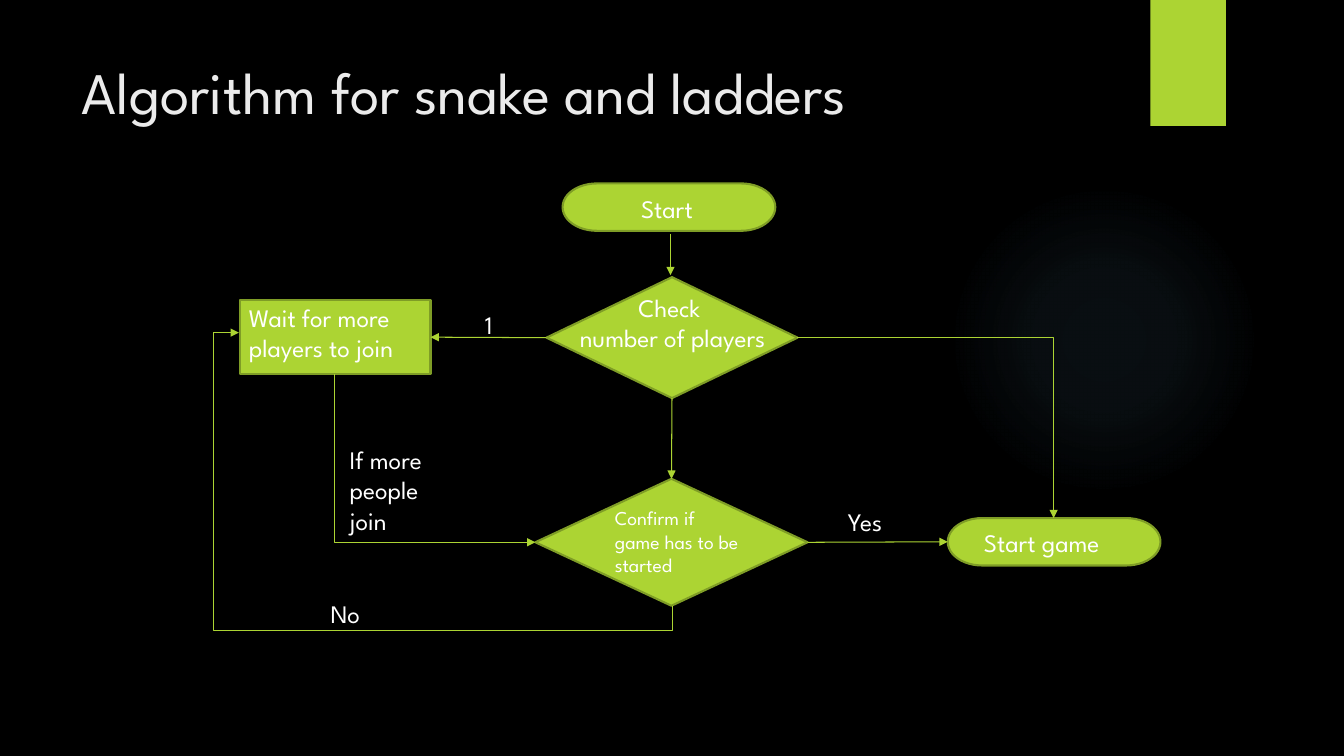
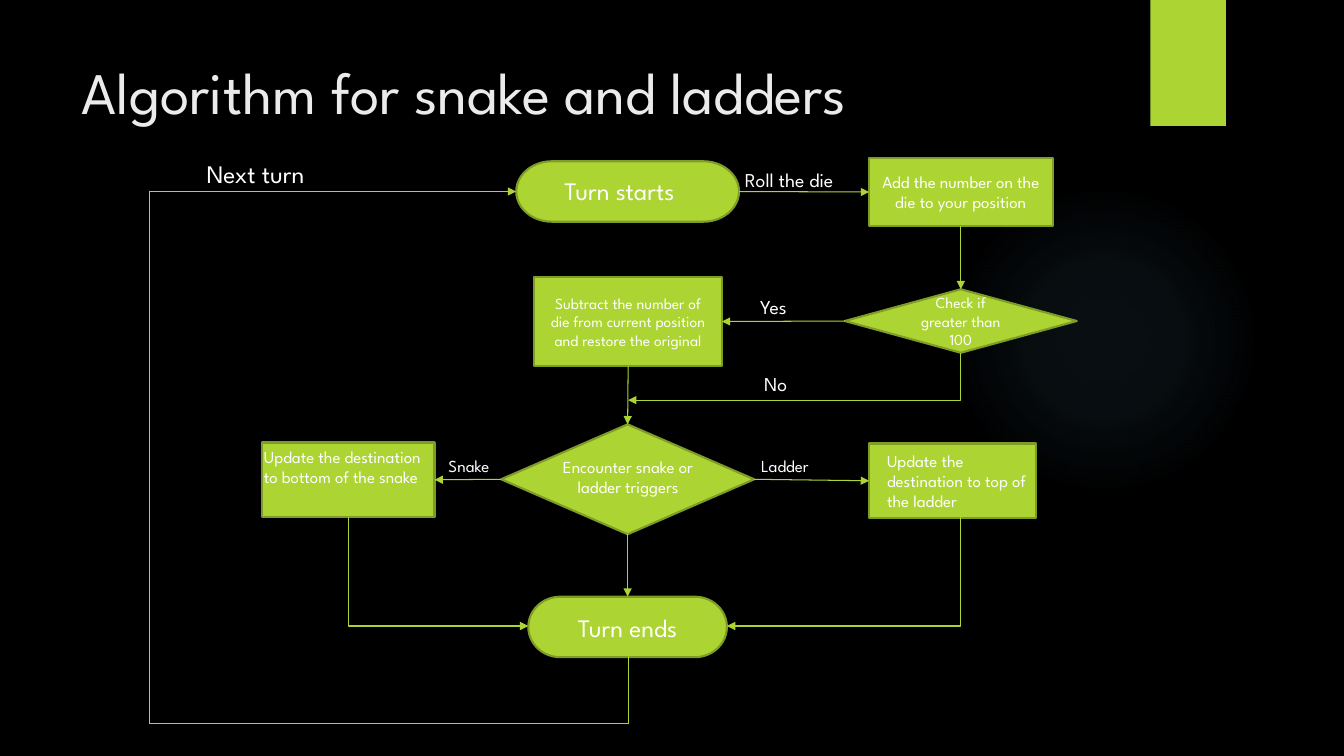
from lxml import etree
from pptx import Presentation
from pptx import util as u
from pptx.dml.color import RGBColor
from pptx.enum import shapes, text
from pptx.oxml import parse_xml
from pptx.oxml.ns import nsdecls, qn

LIME = RGBColor(0xAC, 0xD4, 0x33)
OLIVE = RGBColor(0x7F, 0x9D, 0x26)
WHITE = RGBColor(0xFF, 0xFF, 0xFF)
PALE = RGBColor(0xEB, 0xEB, 0xEB)
BLACK = RGBColor(0, 0, 0)
GLOW = RGBColor(0x7A, 0xC4, 0xF0)
FONT = "League Spartan"
TITLE = "Algorithm for snake and ladders"
KIND = shapes.MSO_SHAPE
PILL = KIND.FLOWCHART_TERMINATOR
STEP = KIND.FLOWCHART_PROCESS
TEST = KIND.DIAMOND
WIRE = shapes.MSO_CONNECTOR
TOP, LEFT, BASE, RIGHT = range(4)


def inches(*sizes):
    return [u.Inches(size) for size in sizes]


def write(frame, lines, size, color=WHITE, align=None):
    frame.word_wrap = True
    for i, line in enumerate(lines):
        para = frame.paragraphs[0] if i == 0 else frame.add_paragraph()
        para.alignment = align
        run = para.add_run()
        run.text = line
        run.font.name = FONT
        run.font.size = u.Pt(size)
        run.font.color.rgb = color


def fade(shape):
    stops = "".join(
        f'<a:gs pos="{pos * 1000}"><a:srgbClr val="{GLOW}">'
        f'<a:alpha val="{alpha * 1000}"/></a:srgbClr></a:gs>'
        for pos, alpha in ((0, 7), (36, 6), (69, 0)))
    grad = parse_xml(
        f'<a:gradFill {nsdecls("a")} rotWithShape="1"><a:gsLst>{stops}</a:gsLst>'
        '<a:path path="circle"><a:fillToRect l="50000" t="50000" '
        'r="50000" b="50000"/></a:path></a:gradFill>')
    shape.fill.background()
    props = shape.element.spPr
    props.replace(props.find(qn("a:noFill")), grad)


def dress(layout, slide):
    layout.background.fill.solid()
    layout.background.fill.fore_color.rgb = BLACK
    glow = slide.shapes.add_shape(KIND.OVAL, *inches(9.41, 1.83, 3.08, 3.08))
    fade(glow)
    band = slide.shapes.add_shape(KIND.RECTANGLE, *inches(11.41, 0, 0.75, 1.25))
    band.fill.solid()
    band.fill.fore_color.rgb = LIME
    for part in (glow, band):
        part.line.fill.background()
        part.shadow.inherit = False
        layout.shapes.element.append(part.element)


def head(slide):
    title = slide.shapes.title
    title.left, title.top, title.width, title.height = inches(0.71, 0.5, 10.29, 1.53)
    title.text_frame.vertical_anchor = text.MSO_ANCHOR.TOP
    write(title.text_frame, [TITLE], 42, PALE, text.PP_ALIGN.LEFT)


class Flow:
    def __init__(self, slide, x, y):
        self.shapes = slide.shapes
        self.x, self.y = x, y

    def place(self, x, y, *size):
        return inches(self.x + x, self.y + y, *size)

    def node(self, kind, box, words=None, size=12):
        shape = self.shapes.add_shape(kind, *self.place(*box))
        shape.shadow.inherit = False
        shape.fill.solid()
        shape.fill.fore_color.rgb = LIME
        shape.line.color.rgb = OLIVE
        shape.line.width = u.Pt(1.5)
        if words:
            shape.text_frame.vertical_anchor = text.MSO_ANCHOR.MIDDLE
            write(shape.text_frame, [words], size, align=text.PP_ALIGN.CENTER)
        return shape

    def note(self, box, *lines, size=18, align=None):
        frame = self.shapes.add_textbox(*self.place(*box)).text_frame
        write(frame, lines, size, align=align)

    def style(self, wire, arrow=True):
        wire.line.color.rgb = LIME
        wire.line.width = u.Pt(0.75)
        if arrow:
            etree.SubElement(wire.get_or_add_ln(), qn("a:tailEnd"), type="triangle")
        etree.SubElement(wire.element.spPr, qn("a:effectLst"))

    def line(self, start, end, arrow=True):
        ends = self.place(*start) + self.place(*end)
        self.style(self.shapes.add_connector(WIRE.STRAIGHT, *ends), arrow)

    def link(self, first, out, last, into):
        wire = self.shapes.add_connector(WIRE.STRAIGHT, 0, 0, 0, 0)
        wire.begin_connect(first, out)
        wire.end_connect(last, into)
        self.style(wire)

    def bend(self, start, end, down=True, loop=None):
        (x1, y1), (x2, y2) = start, end
        wide, high = abs(x2 - x1), abs(y2 - y1)
        flips = x2 < x1, y2 < y1
        if down:
            wide, high = high, wide
            flips = y2 < y1, x2 > x1
        mx, my = (x1 + x2) / 2, (y1 + y2) / 2
        ends = (self.place(mx - wide / 2, my - high / 2)
                + self.place(mx + wide / 2, my + high / 2))
        wire = self.shapes.add_connector(WIRE.ELBOW, *ends)
        props = wire.element.spPr
        frame = props.find(qn("a:xfrm"))
        if down:
            frame.set("rot", "5400000")
        for name, flip in zip(("flipH", "flipV"), flips):
            if flip:
                frame.set(name, "1")
        geom = props.find(qn("a:prstGeom"))
        geom.set("prst", "bentConnector4" if loop else "bentConnector2")
        if loop:
            guides = geom.find(qn("a:avLst"))
            if guides is None:
                guides = etree.SubElement(geom, qn("a:avLst"))
            for i, (part, whole) in enumerate(zip(loop, (wide, high)), 1):
                etree.SubElement(guides, qn("a:gd"), name=f"adj{i}",
                                 fmla=f"val {round(part / whole * 100000)}")
        self.style(wire)


def lobby(slide, x, y):
    flow = Flow(slide, x, y)
    check = flow.node(TEST, (3.42, 1.75, 2.49, 1.2))
    flow.node(PILL, (3.58, 0.82, 2.11, 0.47))
    game = flow.node(PILL, (7.4, 4.14, 2.11, 0.47))
    wait = flow.node(STEP, (0.38, 1.98, 1.89, 0.73))
    ready = flow.node(TEST, (3.31, 3.75, 2.7, 1.26))

    flow.line((4.65, 1.32), (4.65, 1.73))
    flow.link(check, LEFT, wait, RIGHT)
    flow.link(check, BASE, ready, TOP)
    flow.link(ready, RIGHT, game, LEFT)
    flow.bend((4.67, 5.01), (0.37, 2.3), loop=(-0.25, 4.55))
    flow.bend((1.32, 2.71), (3.31, 4.38))
    flow.bend((5.91, 2.35), (8.45, 4.14), down=False)

    flow.note((3.58, 1.85, 2.18, 1.01), "Check ", "number of players",
              align=text.PP_ALIGN.CENTER)
    flow.note((4, 3.97, 1.48, 0.81), "Confirm if game has to be started", size=14)
    for box, words in (
            ((4.26, 0.87, 1.93, 0.4), "Start"),
            ((2.71, 2.02, 0.63, 0.4), "1"),
            ((0.37, 1.95, 2.11, 0.71), "Wait for more players to join"),
            ((1.18, 4.89, 1.05, 0.4), "No"),
            ((1.37, 3.36, 1.26, 1.01), "If more people join"),
            ((6.31, 3.97, 0.82, 0.4), "Yes"),
            ((7.66, 4.18, 1.58, 0.4), "Start game")):
        flow.note(box, words)


def turn(slide, x, y):
    flow = Flow(slide, x, y)
    start = flow.node(PILL, (4.12, 0.6, 2.21, 0.6))
    meet = flow.node(TEST, (3.97, 3.21, 2.51, 1.09))
    snake = flow.node(STEP, (1.6, 3.39, 1.71, 0.74))
    climb = flow.node(STEP, (7.62, 3.4, 1.66, 0.74))
    add = flow.node(STEP, (7.62, 0.57, 1.82, 0.67),
                    "Add the number on the die to your position")
    end = flow.node(PILL, (4.24, 4.92, 1.97, 0.6), "Turn ends", 18)
    over = flow.node(TEST, (7.38, 1.87, 2.3, 0.63), "Check if greater than 100", 11)
    back = flow.node(STEP, (4.3, 1.75, 1.86, 0.88),
                     "Subtract the number of die from current position "
                     "and restore the original", 11)

    for route in ((start, RIGHT, add, LEFT), (add, BASE, over, TOP),
                  (over, LEFT, back, RIGHT), (back, BASE, meet, TOP),
                  (meet, LEFT, snake, RIGHT), (meet, RIGHT, climb, LEFT),
                  (meet, BASE, end, TOP)):
        flow.link(*route)
    for ends in (((2.46, 4.13), (4.24, 5.21)), ((8.53, 4.12), (6.21, 5.21)),
                 ((8.53, 2.5), (5.23, 2.97)), ((0.48, 6.18), (4.12, 0.9))):
        flow.bend(*ends)
    flow.line((5.23, 5.51), (5.23, 6.18), arrow=False)
    flow.line((5.23, 6.18), (0.48, 6.18), arrow=False)

    flow.note((4.36, 3.48, 1.74, 0.5), "Encounter snake or ladder triggers",
              size=12, align=text.PP_ALIGN.CENTER)
    for box, words, size in (
            ((6.29, 0.62, 1.49, 0.34), "Roll the die", 14),
            ((1.52, 3.38, 1.86, 0.71),
             "Update the destination to bottom of the snake", 12),
            ((7.7, 3.42, 1.66, 0.71),
             "Update the destination to top of the ladder", 12),
            ((4.5, 0.69, 1.41, 0.4), "Turn starts", 18),
            ((3.35, 3.47, 0.84, 0.3), "Snake", 12),
            ((6.45, 3.47, 0.83, 0.3), "Ladder", 12),
            ((0.95, 0.52, 1.69, 0.4), "Next turn", 18),
            ((6.44, 1.88, 0.63, 0.34), "Yes", 14),
            ((6.48, 2.64, 0.8, 0.34), "No", 14)):
        flow.note(box, words, size=size)


def main():
    deck = Presentation()
    deck.slide_width, deck.slide_height = inches(13.33, 7.5)
    layout = deck.slide_layouts[5]
    for i, (draw, x, y) in enumerate(((lobby, 2, 1), (turn, 1, 1))):
        slide = deck.slides.add_slide(layout)
        if i == 0:
            dress(layout, slide)
        head(slide)
        draw(slide, x, y)
    deck.save("out.pptx")


if __name__ == "__main__":
    main()
